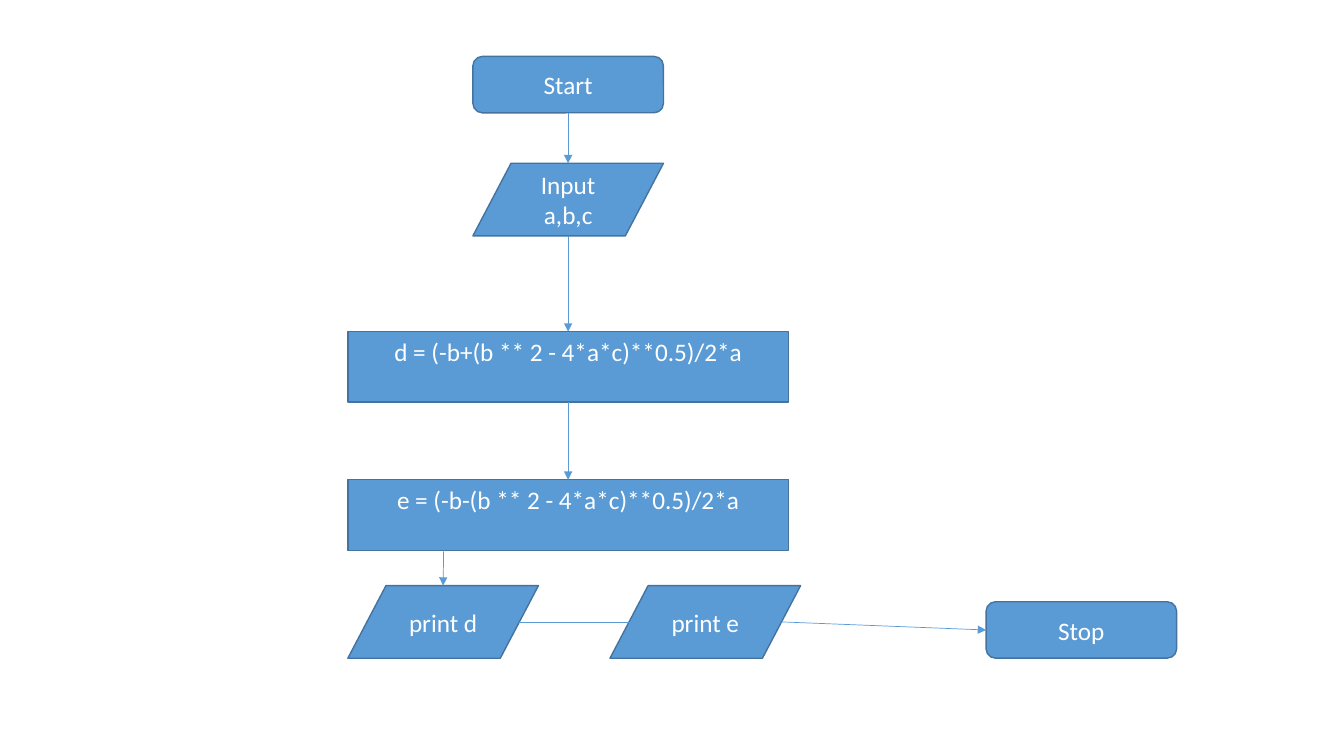
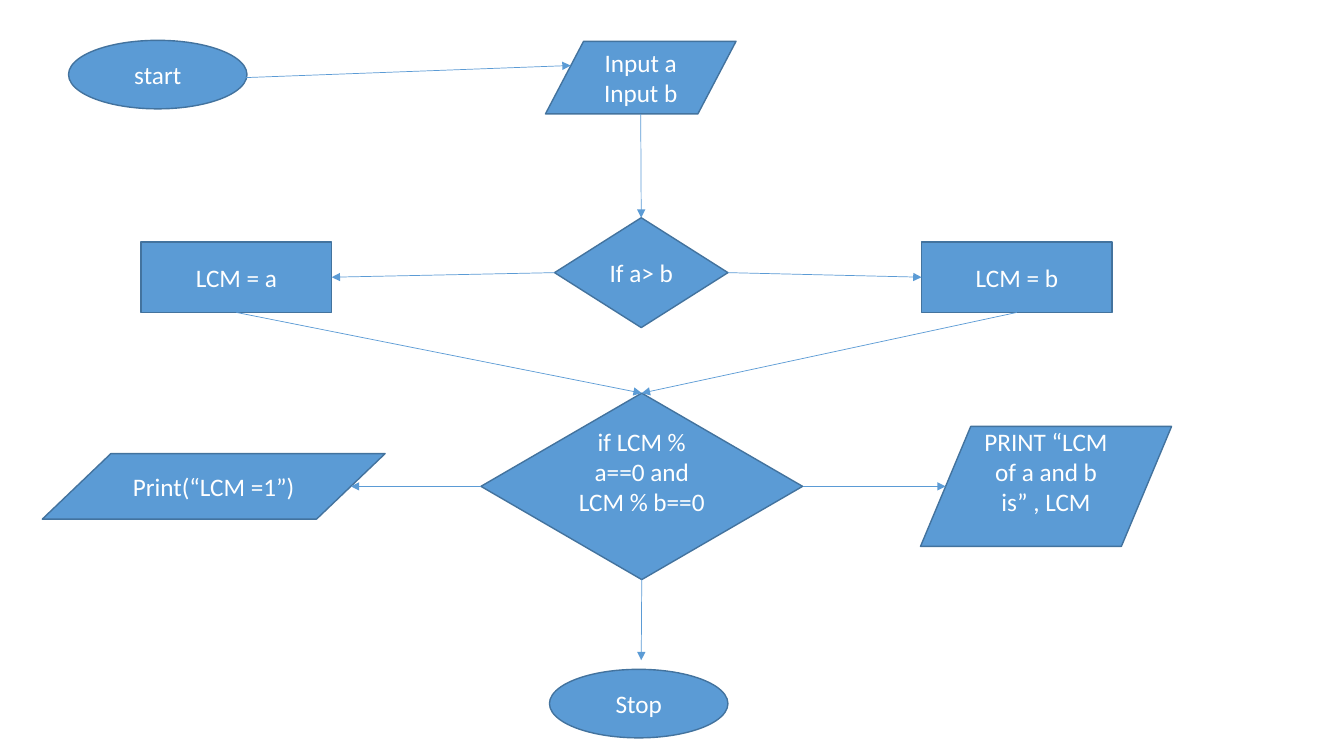
"""Two flowcharts: quadratic roots and least common multiple."""
from dataclasses import dataclass

from lxml.etree import SubElement
from pptx import Presentation
from pptx.dml.color import RGBColor
from pptx.enum.shapes import MSO_CONNECTOR as Line, MSO_SHAPE as Shape
from pptx.enum.text import MSO_ANCHOR as Anchor, PP_ALIGN as Align
from pptx.oxml.ns import qn
from pptx.util import Inches, Pt


@dataclass(frozen=True)
class Theme:
    fill: RGBColor = RGBColor(0x5B, 0x9B, 0xD5)
    border: RGBColor = RGBColor(0x43, 0x73, 0x9E)
    text: RGBColor = RGBColor(0xFF, 0xFF, 0xFF)
    font: str = "Calibri"
    size: Pt = Pt(18)
    border_width: Pt = Pt(1)
    arrow_width: Pt = Pt(0.5)
    inset: float = 0.05
    raised_inset: float = 0.35


THEME = Theme()
ROUND, OVAL, BOX = Shape.ROUNDED_RECTANGLE, Shape.OVAL, Shape.RECTANGLE
DATA, CHOICE = Shape.FLOWCHART_DATA, Shape.FLOWCHART_DECISION
SIDES = {"top": (0.5, 0), "bottom": (0.5, 1), "left": (0, 0.5), "right": (1, 0.5)}
DATA_SIDES = {**SIDES, "left": (0.1, 0.5), "right": (0.9, 0.5)}

ROUND_SIZE, OVAL_SIZE = (1.89, 0.56), (1.77, 0.68)
DATA_SIZE, BOX_SIZE, FORMULA_SIZE = (1.89, 0.72), (1.89, 0.7), (4.37, 0.7)

FLOWCHARTS = [
    {
        "nodes": {
            "start": (ROUND, (4.69, 0.56), ROUND_SIZE, ["Start"]),
            "stop": (ROUND, (9.78, 5.97), ROUND_SIZE, ["Stop"]),
            "input": (DATA, (4.69, 1.62), DATA_SIZE, ["Input a,b,c"]),
            "root d": (BOX, (3.45, 3.29), FORMULA_SIZE, ["d = (-b+(b ** 2 - 4*a*c)**0.5)/2*a"]),
            "root e": (BOX, (3.45, 4.76), FORMULA_SIZE, ["e = (-b-(b ** 2 - 4*a*c)**0.5)/2*a"]),
            "print d": (DATA, (3.45, 5.81), DATA_SIZE, ["print d"]),
            "print e": (DATA, (6.05, 5.81), DATA_SIZE, ["print e"]),
        },
        "raised": {"root d", "root e"},
        "arrows": [
            (("start", "bottom"), ("input", "top")),
            (("input", "bottom"), ("root d", "top")),
            (("root d", "bottom"), ("root e", "top")),
            ((4.4, 5.46), ("print d", "top")),
            (("print d", "right"), (6.37, 6.17)),
            (("print e", "right"), ("stop", "left")),
        ],
    },
    {
        "nodes": {
            "start": (OVAL, (0.68, 0.4), OVAL_SIZE, ["start"]),
            "stop": (OVAL, (5.45, 6.64), OVAL_SIZE, ["Stop"]),
            "input": (DATA, (5.41, 0.41), DATA_SIZE, ["Input a", "Input b"]),
            "compare": (CHOICE, (5.5, 2.16), (1.72, 1.09), ["If a> b"]),
            "take a": (BOX, (1.4, 2.4), BOX_SIZE, ["LCM = a"]),
            "take b": (BOX, (9.14, 2.4), BOX_SIZE, ["LCM = b"]),
            "divides": (CHOICE, (4.77, 3.9), (3.19, 1.85), ["if LCM % a==0 and LCM % b==0"]),
            "print one": (DATA, (0.42, 4.5), (3.4, 0.65), ["Print(“LCM =1”)"]),
            "print lcm": (DATA, (9.13, 4.23), (2.49, 1.19), ["PRINT “LCM of a and b is” , LCM"]),
        },
        "raised": {"divides", "print lcm"},
        "arrows": [
            ((2.44, 0.77), (5.66, 0.65)),
            (("input", "bottom"), ("compare", "top")),
            (("compare", "left"), ("take a", "right")),
            (("compare", "right"), ("take b", "left")),
            (("take a", "bottom"), ("divides", "top")),
            (("take b", "bottom"), ("divides", "top")),
            (("divides", "left"), ("print one", "right")),
            (("divides", "right"), ("print lcm", "left")),
            (("divides", "bottom"), (6.36, 6.55)),
        ],
    },
]


def add_node(s, kind, pos, size, lines, raised):
    sp = s.shapes.add_shape(kind, *map(Inches, pos + size))
    sp.shadow.inherit = False
    sp.fill.solid()
    sp.fill.fore_color.rgb = THEME.fill
    sp.line.color.rgb = THEME.border
    sp.line.width = THEME.border_width
    tf = sp.text_frame
    tf.word_wrap = True
    tf.vertical_anchor = Anchor.MIDDLE
    tf.margin_bottom = Inches(THEME.raised_inset if raised else THEME.inset)
    for i, line in enumerate(lines):
        p = tf.add_paragraph() if i else tf.paragraphs[0]
        p.alignment = Align.CENTER
        r = p.add_run()
        r.text = line
        r.font.name = THEME.font
        r.font.size = THEME.size
        r.font.color.rgb = THEME.text


def locate(end, nodes):
    if end[0] not in nodes:
        return end
    name, side = end
    kind, (x, y), (w, h), _ = nodes[name]
    fx, fy = (DATA_SIDES if kind == DATA else SIDES)[side]
    return x + fx * w, y + fy * h


def add_arrow(s, begin, end):
    cn = s.shapes.add_connector(Line.STRAIGHT, *map(Inches, begin + end))
    cn.line.color.rgb = THEME.fill
    cn.line.width = THEME.arrow_width
    SubElement(cn.line._get_or_add_ln(), qn("a:tailEnd"), type="triangle")
    SubElement(cn._element.spPr, qn("a:effectLst"))


def main():
    prs = Presentation()
    prs.slide_width, prs.slide_height = Inches(13.33), Inches(7.5)
    for chart in FLOWCHARTS:
        s = prs.slides.add_slide(prs.slide_layouts[6])
        nodes = chart["nodes"]
        for name, node in nodes.items():
            add_node(s, *node, name in chart["raised"])
        for begin, end in chart["arrows"]:
            add_arrow(s, locate(begin, nodes), locate(end, nodes))
    prs.save("out.pptx")


if __name__ == "__main__":
    main()
